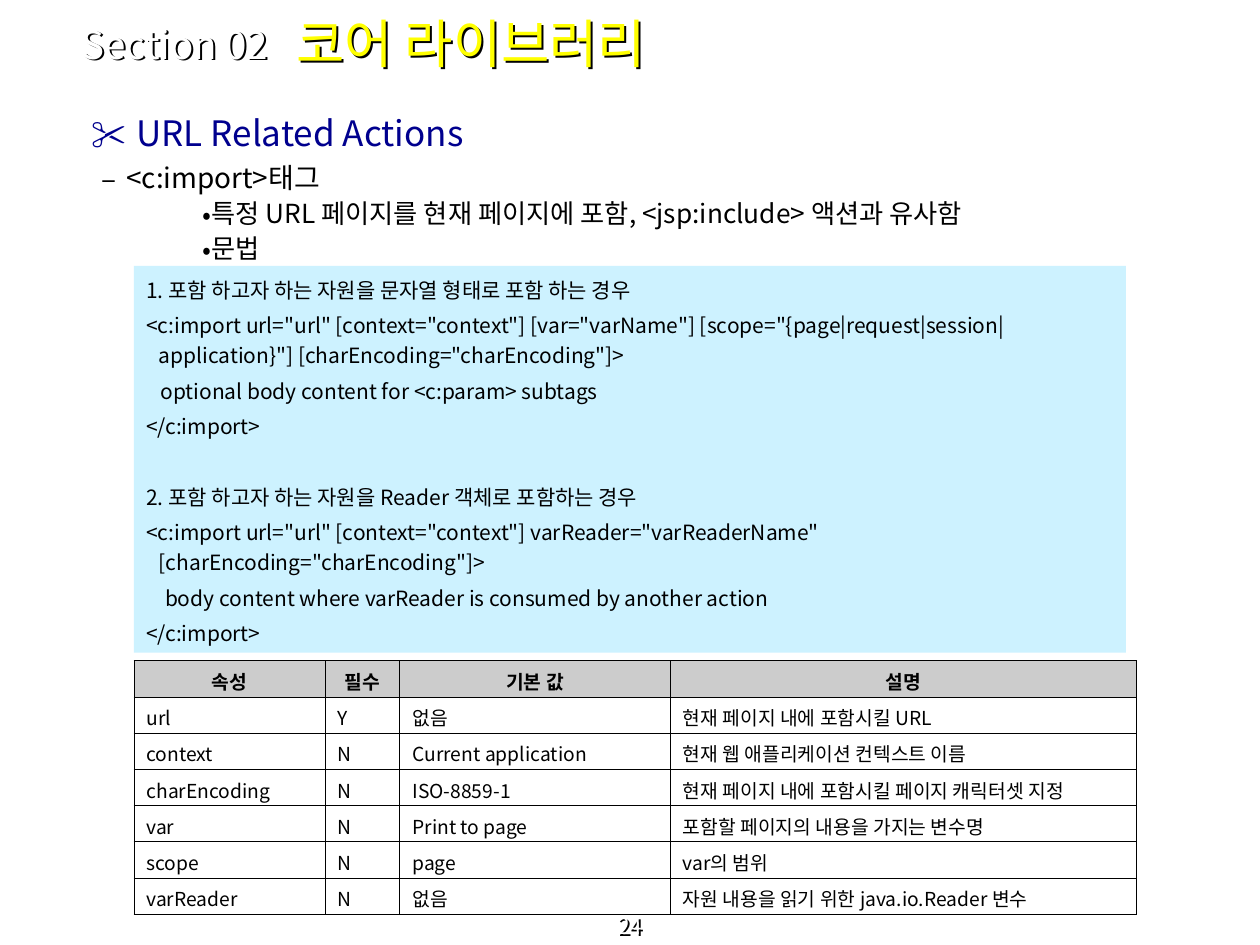
from lxml.etree import SubElement
from pptx import Presentation
from pptx.dml.color import RGBColor
from pptx.enum.shapes import MSO_SHAPE
from pptx.enum.text import MSO_ANCHOR, PP_ALIGN
from pptx.oxml.ns import qn
from pptx.util import Cm, Pt

BLACK = RGBColor(0x00, 0x00, 0x00)
WHITE = RGBColor(0xFF, 0xFF, 0xFF)
YELLOW = RGBColor(0xFF, 0xFF, 0x00)
NAVY = RGBColor(0x00, 0x00, 0x8E)
SKY = RGBColor(0xCD, 0xF2, 0xFF)
GREY = RGBColor(0xCC, 0xCC, 0xCC)

# text, bullet, size, colour, left margin, first line indent, space before, line spacing
OUTLINE = [
    ("URL Related Actions", "✂", 20, NAVY, 1.2, -0.9, 0, 1),
    ("<c:import>태그", "–", 16, BLACK, 1, -0.5, 4, 1),
    ("특정 URL 페이지를 현재 페이지에 포함, <jsp:include> 액션과 유사함",
     "•", 15, BLACK, 1.5, 1.04, 3.7, 0.9),
    ("문법", "•", 15, BLACK, 1.5, 1.04, 3.7, 0.9),
]

SYNTAX_CASES = [
    [
        "1. 포함 하고자 하는 자원을 문자열 형태로 포함 하는 경우",
        '<c:import url="url" [context="context"] [var="varName"] '
        '[scope="{page|request|session|application}"] [charEncoding="charEncoding"]>',
        "   optional body content for <c:param> subtags",
        "</c:import>",
    ],
    [
        "2. 포함 하고자 하는 자원을 Reader 객체로 포함하는 경우",
        '<c:import url="url" [context="context"] varReader="varReaderName" '
        '[charEncoding="charEncoding"]>',
        "    body content where varReader is consumed by another action",
        "</c:import>",
    ],
]

ATTRIBUTES = [
    ("속성", "필수", "기본 값", "설명"),
    ("url", "Y", "없음", "현재 페이지 내에 포함시킬 URL"),
    ("context", "N", "Current application", "현재 웹 애플리케이션 컨텍스트 이름"),
    ("charEncoding", "N", "ISO-8859-1", "현재 페이지 내에 포함시킬 페이지 캐릭터셋 지정"),
    ("var", "N", "Print to page", "포함할 페이지의 내용을 가지는 변수명"),
    ("scope", "N", "page", "var의 범위"),
    ("varReader", "N", "없음", "자원 내용을 읽기 위한 java.io.Reader 변수"),
]


class SlideWriter:
    font_name = "Noto Sans CJK KR"

    def __init__(self, slide):
        self.slide = slide

    def style(self, para, size, color, bold=False):
        for span in para.runs:
            font = span.font
            font.size, font.bold, font.name = Pt(size), bold, self.font_name
            font.color.rgb = color
            east_asian = SubElement(span._r.rPr, qn("a:ea"))
            east_asian.set("typeface", self.font_name)

    def indent(self, para, left, first):
        properties = para._p.get_or_add_pPr()
        properties.set("marL", str(Cm(left)))
        properties.set("indent", str(Cm(first)))
        return properties

    def text_box(self, left, top, width, height, anchor=MSO_ANCHOR.MIDDLE):
        box = self.slide.shapes.add_textbox(Cm(left), Cm(top), Cm(width), Cm(height))
        box.text_frame.word_wrap = True
        box.text_frame.vertical_anchor = anchor
        return box

    def shadowed_label(self, text, box, size, color, align=PP_ALIGN.LEFT):
        """Fill an unfilled box whose shadow falls from its letters."""
        box.text_frame.text = text
        para = box.text_frame.paragraphs[0]
        para.alignment = align
        self.style(para, size, color)
        effects = SubElement(box._element.spPr, qn("a:effectLst"))
        shadow = SubElement(effects, qn("a:outerShdw"), blurRad="0",
                            dist=str(Pt(1.6)), dir="2700000", algn="ctr", rotWithShape="0")
        SubElement(shadow, qn("a:srgbClr"), val=str(BLACK))

    def outline(self, items, box):
        frame = box.text_frame
        frame.text = "\n".join(item[0] for item in items)
        for para, item in zip(frame.paragraphs, items):
            _, bullet, size, color, left, first, before, spacing = item
            para.space_before, para.line_spacing = Pt(before), spacing
            properties = self.indent(para, left, first)
            bullet_color = SubElement(properties, qn("a:buClr"))
            SubElement(bullet_color, qn("a:srgbClr"), val=str(color))
            SubElement(properties, qn("a:buFont"), typeface=self.font_name)
            SubElement(properties, qn("a:buChar"), char=bullet)
            self.style(para, size, color)

    def syntax_panel(self, cases, left, top, width, height):
        panel = self.slide.shapes.add_shape(
            MSO_SHAPE.RECTANGLE, Cm(left), Cm(top), Cm(width), Cm(height))
        panel.shadow.inherit = False
        panel.fill.solid()
        panel.fill.fore_color.rgb = SKY
        panel.line.fill.background()
        frame = panel.text_frame
        frame.word_wrap = True
        frame.vertical_anchor = MSO_ANCHOR.TOP
        frame.text = "\n".join(line for case in cases for line in case)
        case_starts = {len(cases[0])}
        for index, para in enumerate(frame.paragraphs):
            para.alignment = PP_ALIGN.LEFT
            para.line_spacing = 1.2
            para.space_before = Pt(23 if index in case_starts else 3 if index else 0)
            self.indent(para, 0.25, -0.25)
            self.style(para, 12, BLACK)

    def border(self, cell):
        properties = cell._tc.get_or_add_tcPr()
        for position, side in enumerate(("a:lnL", "a:lnR", "a:lnT", "a:lnB")):
            line = SubElement(properties, qn(side), w=str(Pt(0.45)))
            fill = SubElement(line, qn("a:solidFill"))
            SubElement(fill, qn("a:srgbClr"), val=str(BLACK))
            properties.insert(position, line)

    def table(self, rows, left, top, column_widths, row_height):
        table = self.slide.shapes.add_table(
            len(rows), len(column_widths), Cm(left), Cm(top),
            Cm(sum(column_widths)), Cm(row_height * len(rows))).table
        for column, width in zip(table.columns, column_widths):
            column.width = Cm(width)
        for row_index, values in enumerate(rows):
            header = row_index == 0
            table.rows[row_index].height = Cm(row_height)
            for column_index, value in enumerate(values):
                cell = table.cell(row_index, column_index)
                cell.text = value
                cell.vertical_anchor = MSO_ANCHOR.MIDDLE
                if header:
                    cell.fill.solid()
                    cell.fill.fore_color.rgb = GREY
                else:
                    cell.fill.background()
                self.border(cell)
                para = cell.text_frame.paragraphs[0]
                para.alignment = PP_ALIGN.CENTER if header else PP_ALIGN.JUSTIFY
                self.style(para, 11, BLACK, bold=header)


def main():
    deck = Presentation()
    deck.slide_width, deck.slide_height = Cm(25.4), Cm(19.05)
    page = SlideWriter(deck.slides.add_slide(deck.slide_layouts[6]))

    number_box = page.text_box(0.06, 18.49, 25.28, 0.56, MSO_ANCHOR.BOTTOM)
    page.shadowed_label("24", number_box, 13, WHITE, PP_ALIGN.CENTER)
    page.outline(OUTLINE, page.text_box(1.3, 2.13, 22.86, 12.57, MSO_ANCHOR.TOP))
    page.syntax_panel(SYNTAX_CASES, 2.7, 5.36, 20, 7.8)
    page.table(ATTRIBUTES, 2.7, 13.32, (3.85, 1.51, 5.45, 9.39), 0.73)
    page.shadowed_label("코어 라이브러리", page.text_box(5.73, 0, 16.24, 1.73), 30, YELLOW)
    page.shadowed_label("Section 02", page.text_box(1.4, 0.41, 4.9, 0.94), 22, WHITE)
    deck.save("out.pptx")


if __name__ == "__main__":
    main()
